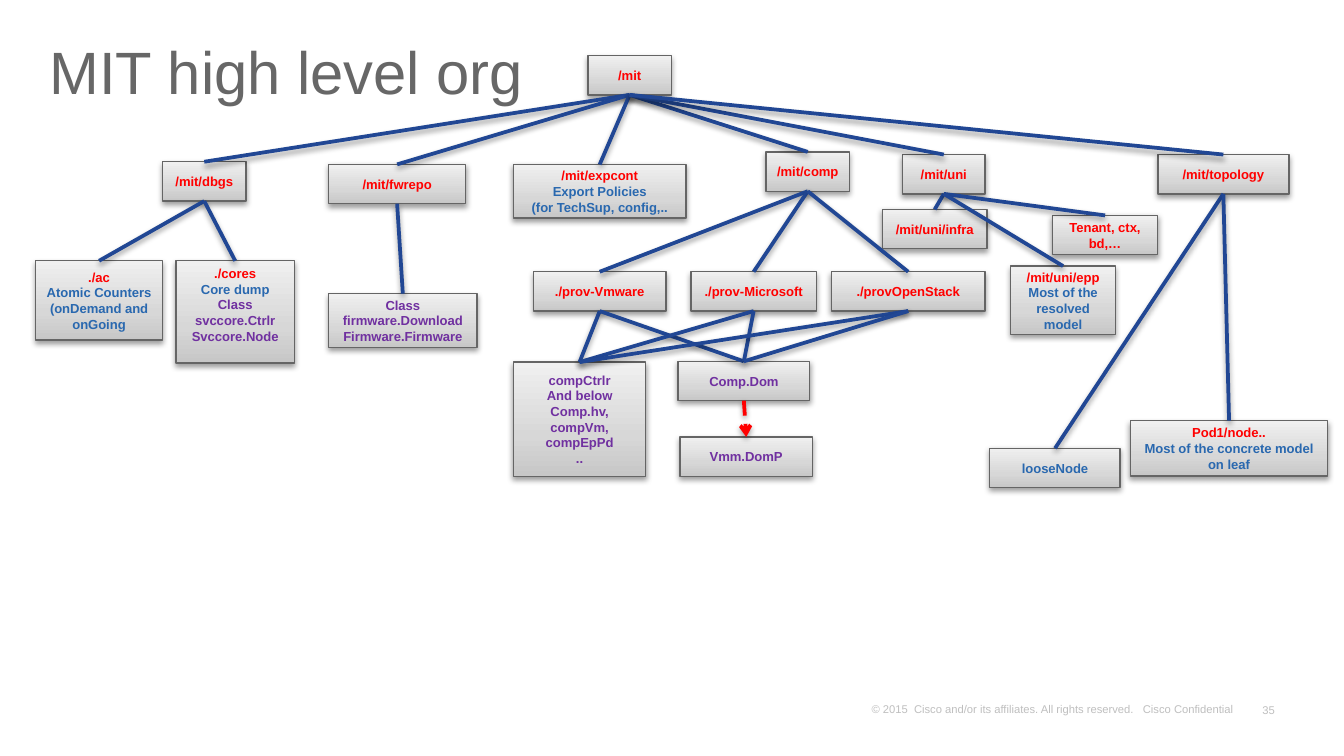
from copy import deepcopy

from pptx import Presentation
from pptx.dml.color import RGBColor
from pptx.enum.dml import MSO_LINE
from pptx.enum.shapes import MSO_CONNECTOR, MSO_SHAPE
from pptx.enum.text import MSO_ANCHOR, PP_ALIGN
from pptx.oxml import parse_xml
from pptx.oxml.ns import nsdecls, qn
from pptx.util import Inches, Pt

# Boxes: left, top, width, height as percent of the slide, then (role, text) lines
ROW, TALL = 5.2, 7.1
NODES = {
    "mit": (43.75, 7.35, 6.2, ROW, [("path", "/mit")]),
    "dbgs": (12.1, 21.4, 6.2, ROW, [("path", "/mit/dbgs")]),
    "ac": (2.65, 34.5, 9.45, 10.5, [
        ("path", "./ac"), ("note", "Atomic Counters"), ("note", "(onDemand and onGoing")]),
    "cores": (13.1, 34.5, 8.8, 13.5, [
        ("path", "./cores"), ("note", "Core dump"), ("class", "Class"),
        ("class", "svccore.Ctrlr"), ("class", "Svccore.Node")]),
    "fwrepo": (24.45, 21.75, 10.2, ROW, [("path", "/mit/fwrepo")]),
    "firmware": (24.45, 38.85, 11.05, TALL, [
        ("class", "Class firmware.Download"), ("class", "Firmware.Firmware")]),
    "expcont": (38.2, 21.75, 12.85, TALL, [
        ("path", "/mit/expcont"), ("note", "Export Policies"),
        ("note", "(for TechSup, config,..")]),
    "comp": (57, 20.1, 6.2, ROW, [("path", "/mit/comp")]),
    "vmware": (39.7, 35.95, 9.85, ROW, [("path", "./prov-Vmware")]),
    "microsoft": (51.4, 35.95, 9.35, ROW, [("path", "./prov-Microsoft")]),
    "openstack": (61.85, 35.95, 11.45, ROW, [("path", "./provOpenStack")]),
    "ctrlr": (38.2, 47.9, 9.85, 15.1, [
        ("class", "compCtrlr"), ("class", "And below"),
        ("class", "Comp.hv, compVm, compEpPd"), ("class", "..")]),
    "dom": (50.45, 47.8, 9.8, ROW, [("class", "Comp.Dom")]),
    "domp": (50.6, 57.8, 9.85, ROW, [("class", "Vmm.DomP")]),
    "uni": (67.15, 20.45, 6.15, ROW, [("path", "/mit/uni")]),
    "infra": (65.65, 27.7, 7.8, ROW, [("path", "/mit/uni/infra")]),
    "tenant": (78.3, 28.5, 7.85, ROW, [("path", "Tenant, ctx, bd,…")]),
    "epp": (75.2, 35.2, 7.8, 9.05, [
        ("path", "/mit/uni/epp"), ("note", "Most of the resolved model")]),
    "topology": (86.15, 20.45, 9.75, ROW, [("path", "/mit/topology")]),
    "loose": (73.65, 59.3, 9.7, ROW, [("note", "looseNode")]),
    "pod": (84.1, 55.65, 14.7, 7.3, [
        ("path", "Pod1/node.."), ("note", "Most of the concrete model on leaf")]),
}
CHILDREN = {
    "mit": ["dbgs", "fwrepo", "expcont", "comp", "uni", "topology"],
    "dbgs": ["ac", "cores"],
    "fwrepo": ["firmware"],
    "comp": ["vmware", "microsoft", "openstack"],
    "vmware": ["ctrlr", "dom"],
    "microsoft": ["ctrlr", "dom"],
    "openstack": ["ctrlr", "dom"],
    "uni": ["infra", "tenant", "epp"],
    "topology": ["loose", "pod"],
}
# Free text: place, role, alignment, anchor, wrap, insets (side, top and bottom), line spacing
LABELS = [
    ("MIT high level org", (2.7, 3.1, 91.3, 14.2), "title", PP_ALIGN.LEFT,
     MSO_ANCHOR.MIDDLE, True, (0.1, 0.05), 0.8),
    ("© 2015  Cisco and/or its affiliates. All rights reserved.   Cisco Confidential",
     (64.15, 92.2, 29.1, 3), "footer", PP_ALIGN.LEFT, MSO_ANCHOR.BOTTOM, True, (0.07, 0.03), 1),
    ("35", (93.15, 92.3, 2.4, 3), "footer", PP_ALIGN.RIGHT,
     MSO_ANCHOR.BOTTOM, False, (0.07, 0.03), 1),
]
THEME = {
    "font": "Arial",
    "text": {  # role: colour, size, bold
        "path": ("FF0000", 7, True), "note": ("2968AF", 7, True),
        "class": ("7030A0", 7, True), "title": ("676767", 32, False),
        "footer": ("BFBFBF", 6, False),
    },
    "gradient": [(0, "C7C7C7"), (0.35, "D7D7D7"), (1, "F0F0F0")],
    "border": ("656565", 0.75), "link": ("214794", 2), "arrow": ("FF0000", 2),
}
BOTTOM, TOP = 2, 0  # connection sites of a rectangle

prs = Presentation()
prs.slide_width = Inches(10)
prs.slide_height = prs.slide_width * 9 // 16
s = prs.slides.add_slide(prs.slide_layouts[6])


def place(left, top, width, height):
    """Turn percent of the slide into lengths."""
    w, h = prs.slide_width / 100, prs.slide_height / 100
    return [round(v) for v in (left * w, top * h, width * w, height * h)]


def write(tf, lines, align, insets, anchor, wrap=True, spacing=1):
    side, edge = (Inches(v) for v in insets)
    frame = {"margin_left": side, "margin_right": side, "margin_top": edge,
             "margin_bottom": edge, "vertical_anchor": anchor, "word_wrap": wrap}
    for name, value in frame.items():
        setattr(tf, name, value)
    for i, (role, text) in enumerate(lines):
        p = tf.add_paragraph() if i else tf.paragraphs[0]
        p.alignment, p.line_spacing = align, spacing
        r = p.add_run()
        r.text = text
        color, size, bold = THEME["text"][role]
        for name, value in {"name": THEME["font"], "size": Pt(size), "bold": bold}.items():
            setattr(r.font, name, value)
        r.font.color.rgb = RGBColor.from_string(color)


def outline(sp, style):
    """Set the line, then the soft shadow that every box and link carries."""
    color, width = THEME[style]
    sp.line.color.rgb = RGBColor.from_string(color)
    sp.line.width = Pt(width)
    sp._element.spPr.append(parse_xml(
        f'<a:effectLst {nsdecls("a")}><a:outerShdw blurRad="{Pt(3.1)}" dist="{Pt(1.6)}" '
        'dir="5400000" rotWithShape="0"><a:srgbClr val="000000"><a:alpha val="38000"/>'
        '</a:srgbClr></a:outerShdw></a:effectLst>'))


def add_node(left, top, width, height, lines):
    sp = s.shapes.add_shape(MSO_SHAPE.RECTANGLE, *place(left, top, width, height))
    sp.fill.gradient()
    sp.fill.gradient_angle = 90
    stops = sp._element.spPr.find(".//" + qn("a:gsLst"))
    stops.insert(1, deepcopy(stops[0]))
    for stop, (position, color) in zip(sp.fill.gradient_stops, THEME["gradient"]):
        stop.position = position
        stop.color.rgb = RGBColor.from_string(color)
    outline(sp, "border")
    write(sp.text_frame, lines, PP_ALIGN.CENTER, (0.08, 0.04), MSO_ANCHOR.MIDDLE)
    return sp


def add_link(parent, child, style="link"):
    link = s.shapes.add_connector(MSO_CONNECTOR.STRAIGHT, 0, 0, 0, 0)
    link.begin_connect(boxes[parent], BOTTOM)
    link.end_connect(boxes[child], TOP)
    outline(link, style)
    return link


for text, area, role, align, anchor, wrap, insets, spacing in LABELS:
    tf = s.shapes.add_textbox(*place(*area)).text_frame
    write(tf, [(role, text)], align, insets, anchor, wrap, spacing)

boxes = {name: add_node(*node) for name, node in NODES.items()}
boxes["cores"].text_frame.margin_bottom = Inches(0.15)  # its text sits one line higher

for parent, children in CHILDREN.items():
    for child in children:
        add_link(parent, child)

arrow = add_link("dom", "domp", "arrow")
arrow.line.dash_style = MSO_LINE.DASH
arrow.line._ln.append(parse_xml(f'<a:tailEnd {nsdecls("a")} type="arrow"/>'))

prs.save("out.pptx")
